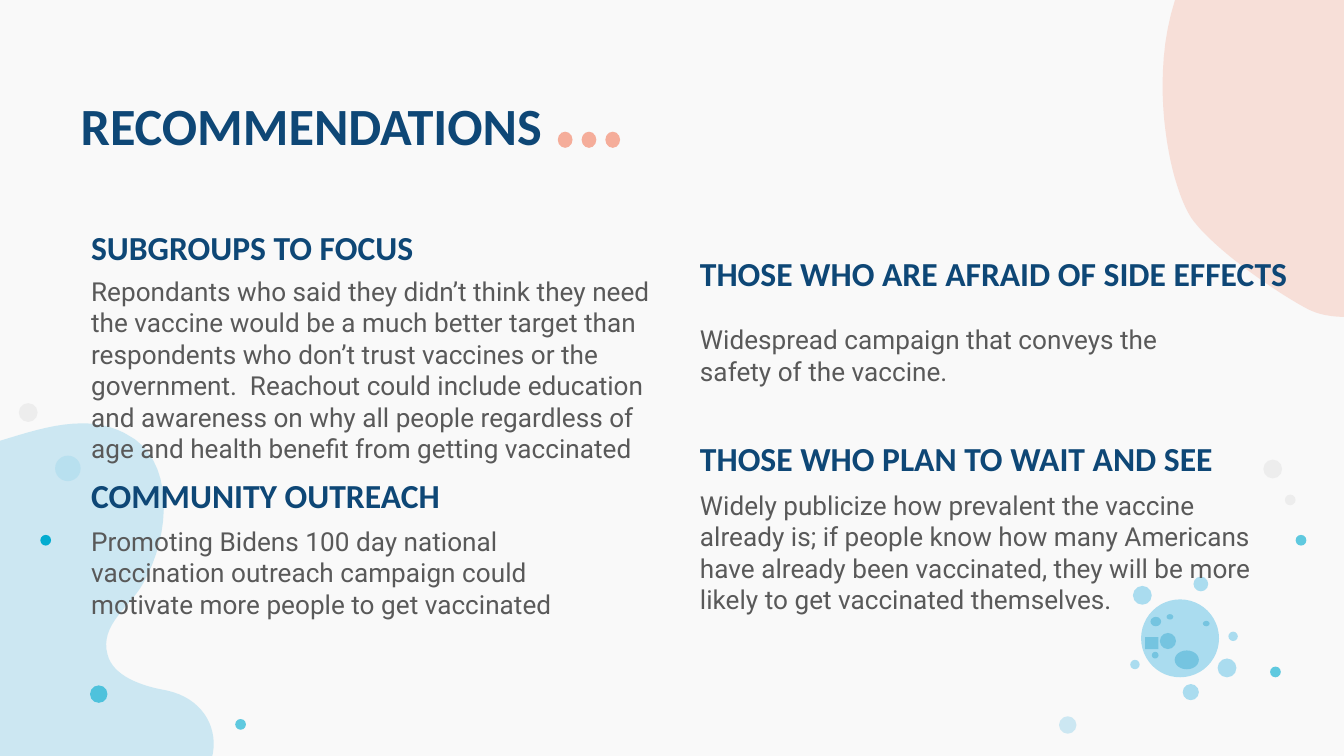
from lxml import etree
from pptx import Presentation
from pptx import util as u
from pptx.dml.color import RGBColor
from pptx.enum import shapes, text
from pptx.oxml.ns import qn

CELL = u.Inches(0.1)
COLUMNS, ROWS = 100, 56.25
LEFT, RIGHT = 5.8, 51.1
COLORS = {
    "page": "F9F9F9", "navy": "0E4776", "grey": "595959", "coral": "F5AD9A",
    "sky": "AADBEE", "teal": "02ACD0", "mist": "EDEDED",
    "virus": "AADCEF", "crater": "75C4E0",
}
CORAL_BLOB = [
    (95.9, 18.7),
    (96.3, 19.1, 96.7, 19.5, 97.2, 19.8), (99.3, 21.2, 101.9, 21.5, 103.7, 19.9),
    (104.5, 19.3, 105.8, 18.4, 106.7, 17.8), (107.7, 17.4, 111.6, 16.5, 112.6, 14.3),
    (115.3, 8.2, 112.3, 2.6, 108.3, -1.4), (105.1, -4.6, 101.3, -6.7, 99.5, -6.9),
    (96.1, -7.3, 89.8, -5.9, 88.6, -5.4), (87.6, -5, 86.7, -4.2, 85.9, -3.3),
    (84.9, -2.2, 84.3, -0.5, 84.4, 1.1), (84.6, 3.2, 85.8, 5.2, 87.3, 6.7),
    (87.7, 7.1, 88.1, 7.5, 88.6, 7.8), (89.4, 8.4, 90.2, 8.9, 90.9, 9.5),
    (91, 9.6, 91.1, 9.8, 91.2, 9.9), (92.3, 11.2, 92.6, 12.8, 93.2, 14.4),
    (93.9, 16, 94.7, 17.5, 95.9, 18.7),
]
SKY_BLOB = [
    (6.1, 31.5),
    (2.6, 31.5, -1.2, 33.6, -4.5, 33.8), (-4.8, 33.9, -5.1, 33.9, -5.4, 33.9),
    (-6.9, 33.9, -8.7, 33.7, -10.4, 33.7), (-13, 33.7, -15.6, 34.2, -17.3, 36.6),
    (-20.7, 41.9, -27.1, 41.5, -27.1, 46.3), (-27.1, 50.4, -21.8, 51.6, -21.8, 59.6),
    (9, 59.6),
    (13.5, 59.6, 15.7, 58.1, 15.9, 55.6), (16, 53.5, 14.6, 51.7, 12, 51.3),
    (10.5, 51, 8.4, 50.3, 8, 48.7), (7.4, 46.5, 9.7, 45.1, 10.6, 43.5),
    (12.8, 39.7, 13, 34.1, 9.4, 32.3), (8.3, 31.7, 7.2, 31.5, 6.1, 31.5),
]
BACKDROP_DOTS = [
    ("sky", 57, [(4.1, 33.9, 1.9, 1.9), (78.8, 53.3, 1.3, 1.3)]),
    ("teal", 62, [(6.7, 51, 1.3, 1.3), (17.5, 53.5, 0.8, 0.8),
                  (94.5, 49.6, 0.8, 0.8), (96.4, 39.8, 0.8, 0.8)]),
    ("teal", 100, [(3, 39.8, 0.8, 0.8)]),
    ("mist", 100, [(95.6, 36.8, 0.8, 0.8), (1.4, 30, 1.4, 1.4), (94, 34.2, 1.4, 1.4)]),
]
VIRUS_DOTS = [
    (88, 50.9, 1.2, 1.2), (88.8, 42.9, 1.1, 1.1), (90.6, 49, 1.4, 1.4),
    (84.3, 43.6, 1.4, 1.4), (84.1, 49.1, 0.7, 0.7), (91.4, 47, 0.7, 0.7),
    (84.9, 44.6, 5.8, 5.8),
]
CRATERS = [
    (85.7, 48.5, 0.5, 0.5), (86.3, 47.1, 1.2, 1.2), (87.4, 48.4, 1.8, 1.4),
    (85.6, 45.9, 0.8, 0.7), (89.5, 46.2, 0.5, 0.4), (86.8, 45.7, 0.5, 0.4),
]
SECTIONS = [
    (LEFT, 17, 34.6, "SUBGROUPS TO FOCUS", 19.5, 45.4, 10.7,
     "Repondants who said they didn’t think they need the vaccine would be a much "
     "better target than respondents who don’t trust vaccines or the government.  "
     "Reachout could include education and awareness on why all people regardless "
     "of age and health benefit from getting vaccinated"),
    (LEFT, 35.5, 34.6, "COMMUNITY OUTREACH", 38.1, 40.9, 7.6,
     "Promoting Bidens 100 day national vaccination outreach campaign could "
     "motivate more people to get vaccinated"),
    (RIGHT, 19, 46.7, "THOSE WHO ARE AFRAID OF SIDE EFFECTS", 23.1, 40.9, 7.6,
     "Widespread campaign that conveys the safety of the vaccine."),
    (RIGHT, 32.7, 48.9, "THOSE WHO PLAN TO WAIT AND SEE", 35.4, 44.4, 7.6,
     "Widely publicize how prevalent the vaccine already is; if people know how "
     "many Americans have already been vaccinated, they will be more likely to "
     "get vaccinated themselves."),
]


def cells(*lengths):
    """Turn grid lengths into slide units."""
    return [round(length * CELL) for length in lengths]


def paint(shape, color, opacity=100):
    """Fill a shape without line or shadow."""
    shape.shadow.inherit = False
    shape.line.fill.background()
    shape.fill.solid()
    shape.fill.fore_color.rgb = RGBColor.from_string(COLORS[color])
    if opacity < 100:
        tint = shape.fill._xPr.find(qn("a:solidFill"))[0]
        etree.SubElement(tint, qn("a:alpha")).set("val", str(opacity * 1000))


def add_spot(page, frame, color, opacity=100, kind=shapes.MSO_SHAPE.OVAL):
    """Add a small filled shape."""
    paint(page.shapes.add_shape(kind, *cells(*frame)), color, opacity)


def trace(outline, steps=16):
    """Turn corners and cubic curves into a list of points."""
    points = [outline[0]]
    for segment in outline[1:]:
        if len(segment) == 2:
            points.append(segment)
            continue
        knots = [points[-1], segment[:2], segment[2:4], segment[4:]]
        for step in range(1, steps + 1):
            t = step / steps
            weights = ((1 - t) ** 3, 3 * t * (1 - t) ** 2, 3 * t * t * (1 - t), t ** 3)
            points.append(tuple(sum(w * knot[axis] for w, knot in zip(weights, knots))
                                for axis in (0, 1)))
    return points


def add_blob(page, outline, color, opacity, rotation=0):
    """Add a soft background shape."""
    points = [cells(*point) for point in trace(outline)]
    builder = page.shapes.build_freeform(*points[0])
    builder.add_line_segments(points[1:], close=True)
    blob = builder.convert_to_shape()
    blob.rotation = rotation
    paint(blob, color, opacity)


def write(box, words, size, font, color, bold=False, anchor=text.MSO_ANCHOR.TOP):
    """Put one formatted paragraph into a box."""
    frame = box.text_frame
    frame.word_wrap = True
    frame.auto_size = text.MSO_AUTO_SIZE.NONE
    frame.vertical_anchor = anchor
    frame.margin_left = frame.margin_right = CELL
    frame.margin_top = frame.margin_bottom = CELL
    para = frame.paragraphs[0]
    para.text = words
    para.alignment = text.PP_ALIGN.LEFT
    para.font.size, para.font.name, para.font.bold = u.Pt(size), font, bold
    para.font.color.rgb = RGBColor.from_string(COLORS[color])


def add_title(page, words):
    """Place the title and its three trailing dots."""
    title = page.shapes.title
    title.left, title.top, title.width, title.height = cells(5, 5.9, 42.1, 5.2)
    write(title, words, 28, "Calibri", "navy", True)
    for index in range(3):
        add_spot(page, (41.5 + 1.77 * index, 9.8, 1.1, 1.2), "coral")


def add_section(page, left, top, width, heading, body_top, body_width, body_height, body):
    """Add a heading with its paragraph."""
    box = page.shapes.add_textbox(*cells(left, top, width, 2.7))
    write(box, heading, 18, "Calibri", "navy", True, text.MSO_ANCHOR.MIDDLE)
    box = page.shapes.add_textbox(*cells(left, body_top, body_width, body_height))
    write(box, body, 14, "Roboto", "grey")


def add_virus(page):
    """Draw the spotted virus."""
    for frame in VIRUS_DOTS:
        add_spot(page, frame, "virus")
    add_spot(page, (85.2, 47.4, 1, 0.9), "crater", kind=shapes.MSO_SHAPE.RECTANGLE)
    for frame in CRATERS:
        add_spot(page, frame, "crater")


def main():
    """Build the recommendations slide."""
    deck = Presentation()
    deck.slide_width, deck.slide_height = cells(COLUMNS, ROWS)
    page = deck.slides.add_slide(deck.slide_layouts.get_by_name("Title Only"))
    page.background.fill.solid()
    page.background.fill.fore_color.rgb = RGBColor.from_string(COLORS["page"])
    add_blob(page, CORAL_BLOB, "coral", 34, 225)
    add_blob(page, SKY_BLOB, "sky", 57)
    for color, opacity, frames in BACKDROP_DOTS:
        for frame in frames:
            add_spot(page, frame, color, opacity)
    add_virus(page)
    add_title(page, "RECOMMENDATIONS")
    for section in SECTIONS:
        add_section(page, *section)
    deck.save("out.pptx")


if __name__ == "__main__":
    main()
